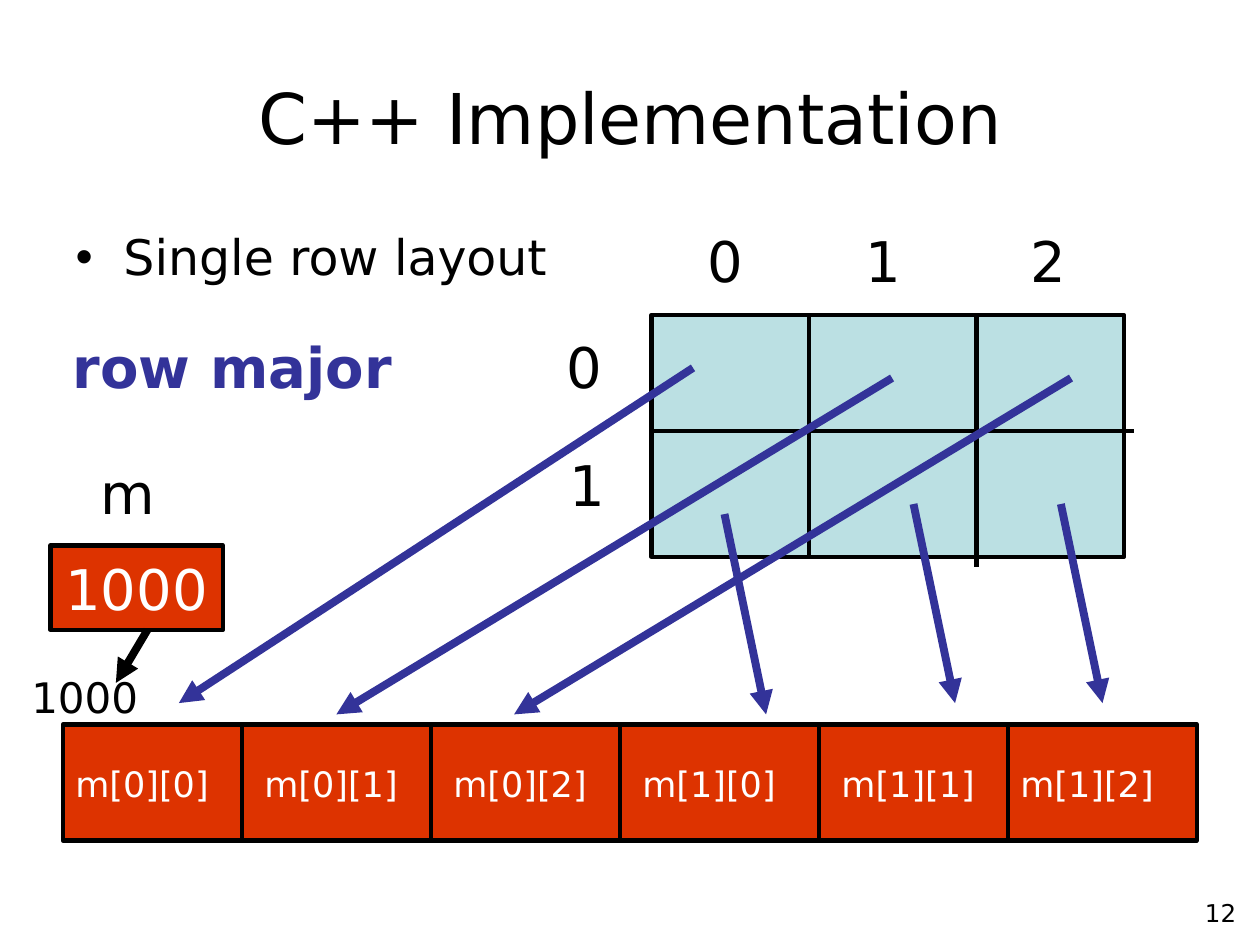
import dataclasses
import pptx
import pptx.dml.color
import pptx.enum.shapes
import pptx.enum.text
import pptx.oxml
import pptx.oxml.ns
import pptx.util
from pptx.util import Inches

ALIGN = pptx.enum.text.PP_ALIGN
ANCHOR = pptx.enum.text.MSO_ANCHOR


@dataclasses.dataclass(frozen=True)
class Theme:
    """Colours, type sizes and line widths of the slide."""
    font: str = "DejaVu Sans"
    ink: str = "000000"
    paper: str = "FFFFFF"
    pale: str = "BBE0E3"
    red: str = "DD3300"
    blue: str = "333399"
    title: int = 40
    body: int = 28
    label: int = 32
    note: int = 24
    cell: int = 20
    foot: int = 14
    thin: float = 2.5
    thick: float = 4.5


THEME = Theme()


def paint(color):
    """Turn a hex string into a colour."""
    return pptx.dml.color.RGBColor.from_string(color)


def write(shape, text, size=THEME.label, color=THEME.ink, bold=False,
          align=ALIGN.LEFT, anchor=ANCHOR.TOP, wrap=False):
    """Put one formatted paragraph in a shape and return it."""
    frame = shape.text_frame
    frame.word_wrap = wrap
    frame.auto_size = pptx.enum.text.MSO_AUTO_SIZE.NONE
    frame.vertical_anchor = anchor
    para = frame.paragraphs[0]
    para.alignment = align
    para.space_before = pptx.util.Pt(0)
    run = para.add_run()
    run.text = text
    run.font.name = THEME.font
    run.font.size = pptx.util.Pt(size)
    run.font.bold = bold
    run.font.color.rgb = paint(color)
    return para


def label(host, text, box, **style):
    """Add a text box at the given box in inches."""
    shape = host.add_textbox(*map(Inches, box))
    write(shape, text, **style)


def block(host, box, fill):
    """Add a filled rectangle with a black outline."""
    kind = pptx.enum.shapes.MSO_SHAPE.RECTANGLE
    shape = host.add_shape(kind, *map(Inches, box))
    shape.shadow.inherit = False
    shape.fill.solid()
    shape.fill.fore_color.rgb = paint(fill)
    shape.line.color.rgb = paint(THEME.ink)
    shape.line.width = pptx.util.Pt(THEME.thin)
    return shape


def rule(host, start, end, color=THEME.ink, width=THEME.thin, head=False):
    """Draw a straight line, with an arrowhead at its end if asked."""
    kind = pptx.enum.shapes.MSO_CONNECTOR.STRAIGHT
    line = host.add_connector(kind, *map(Inches, (*start, *end)))
    line.line.color.rgb = paint(color)
    line.line.width = pptx.util.Pt(width)
    props = line._element.spPr
    if head:
        tail = pptx.oxml.parse_xml(
            f'<a:tailEnd {pptx.oxml.ns.nsdecls("a")} type="triangle"/>')
        line.line._get_or_add_ln().append(tail)
    props.append(pptx.oxml.parse_xml(
        f'<a:effectLst {pptx.oxml.ns.nsdecls("a")}/>'))


def place(shape, box):
    """Move a placeholder to the given box in inches."""
    shape.left, shape.top, shape.width, shape.height = map(Inches, box)


def heading(slide, box):
    """Fill the title placeholder."""
    place(slide.shapes.title, box)
    write(slide.shapes.title, "C++ Implementation", size=THEME.title,
          align=ALIGN.CENTER, anchor=ANCHOR.MIDDLE, wrap=True)


def listing(slide, box):
    """Fill the body placeholder with its bullet."""
    body = slide.placeholders[1]
    place(body, box)
    para = write(body, "Single row layout", size=THEME.body, wrap=True)
    props = para._p.get_or_add_pPr()
    props.set("marL", str(Inches(0.38)))
    props.set("indent", str(-Inches(0.38)))
    props.append(pptx.oxml.parse_xml(
        f'<a:buChar {pptx.oxml.ns.nsdecls("a")} char="•"/>'))


def matrix(slide, box):
    """Draw the two by three matrix with its row and column numbers."""
    left, top, width, height = box
    base = top + height
    host = slide.shapes.add_group_shape().shapes
    block(host, box, THEME.pale)
    mid = top + 0.92
    rule(host, (left, mid), (left + width + 0.08, mid))
    for step, over in ((1.25, 0), (2.58, 0.08)):
        rule(host, (left + step, top), (left + step, base + over))
    for row, (dx, dy) in enumerate(((-0.77, 0.09), (-0.75, 1.03))):
        label(host, str(row), (left + dx, top + dy, 0.48, 0.63))
    for col, dx in enumerate((0.35, 1.6, 2.91)):
        label(host, str(col), (left + dx, top - 0.75, 0.48, 0.63))


def memory(slide, box):
    """Draw the row of memory cells with their names."""
    left, top, width, height = box
    host = slide.shapes.add_group_shape().shapes
    block(host, box, THEME.red)
    for step in (1.42, 2.92, 4.42, 6, 7.5):
        rule(host, (left + step, top), (left + step, top + height))
    for spot, step in enumerate((0, 1.5, 3, 4.5, 6.08, 7.5)):
        row, col = divmod(spot, 3)
        label(slide.shapes, f"m[{row}][{col}]",
              (left + step, top + 0.25, 1.33, 0.43),
              size=THEME.cell, color=THEME.paper)


def pointer(slide, box):
    """Draw the pointer m, its value and the address it leads to."""
    left, top, width, height = box
    base = top + height
    host = slide.shapes
    write(block(host, box, THEME.red), "1000", color=THEME.paper,
          align=ALIGN.CENTER, anchor=ANCHOR.MIDDLE)
    label(host, "m", (left + 0.3, top - 0.74, 0.63, 0.63))
    label(host, "1000", (left - 0.25, base + 0.28, 1.05, 0.5),
          size=THEME.note)
    rule(host, (left + 0.77, base), (left + 0.52, base + 0.42),
         width=THEME.thick, head=True)


def links(slide, grid, band):
    """Draw arrows from the matrix cells to the memory cells."""
    left, top = grid[:2]
    edge, floor = band[:2]
    ends = (
        (0.33, 0.42, 0.92, 0.17), (1.91, 0.5, 2.17, 0.08),
        (3.33, 0.5, 3.58, 0.08), (0.58, 1.58, 5.58, 0.08),
        (2.08, 1.5, 7.08, 0.17), (3.25, 1.5, 8.25, 0.17),
    )
    for dx, dy, reach, gap in ends:
        rule(slide.shapes, (left + dx, top + dy), (edge + reach, floor - gap),
             color=THEME.blue, width=THEME.thick, head=True)


def main():
    """Build and save the slide."""
    deck = pptx.Presentation()
    deck.slide_width, deck.slide_height = Inches(10), Inches(7.5)
    slide = deck.slides.add_slide(deck.slide_layouts[1])
    grid = (5.17, 2.5, 3.75, 1.92)
    band = (0.5, 5.75, 9, 0.92)
    heading(slide, (0.5, 0.3, 9, 1.25))
    listing(slide, (0.5, 1.75, 9, 4.95))
    matrix(slide, grid)
    memory(slide, band)
    pointer(slide, (0.4, 4.33, 1.37, 0.67))
    links(slide, grid, band)
    label(slide.shapes, "row major", (0.48, 2.59, 2.79, 0.63),
          color=THEME.blue, bold=True)
    label(slide.shapes, "12", (7.83, 7.08, 2.08, 0.37),
          size=THEME.foot, align=ALIGN.RIGHT, wrap=True)
    deck.save("out.pptx")


if __name__ == "__main__":
    main()
